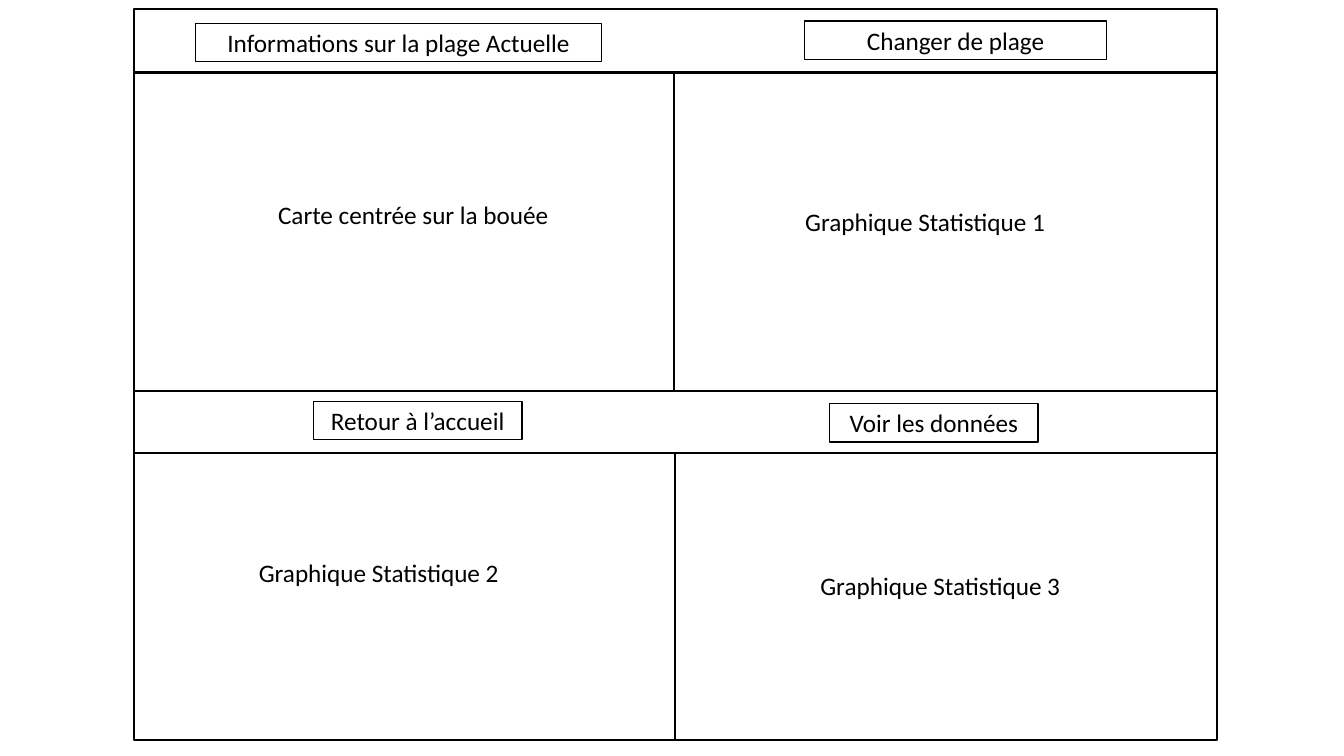
from lxml import etree
from pptx import Presentation
from pptx.dml.color import RGBColor
from pptx.enum.shapes import MSO_CONNECTOR, MSO_SHAPE
from pptx.enum.text import MSO_ANCHOR, MSO_AUTO_SIZE, PP_ALIGN
from pptx.oxml.ns import qn
from pptx.util import Pt

RECT = MSO_SHAPE.RECTANGLE
BUTTON = MSO_SHAPE.ACTION_BUTTON_CUSTOM
STRAIGHT = MSO_CONNECTOR.STRAIGHT
CENTER = PP_ALIGN.CENTER
MIDDLE = MSO_ANCHOR.MIDDLE
GROW = MSO_AUTO_SIZE.SHAPE_TO_FIT_TEXT
BLACK = "000000"

LEFT, TOP, WIDTH, HEIGHT = 95.8, 6.5, 773.2, 522
RIGHT, BOTTOM = LEFT + WIDTH, TOP + HEIGHT
MID = LEFT + WIDTH / 2
HEAD, BAR_TOP, BAR_END = 51.8, 279.2, 323.3


def paint(color, hue):
    """Set a fill, line or font colour from a hex string."""
    color.rgb = RGBColor.from_string(hue)


def write(shape, text):
    para = shape.text_frame.paragraphs[0]
    para.text = text
    para.font.name = "Calibri"
    para.font.size = Pt(18)
    paint(para.font.color, BLACK)
    return para


deck = Presentation()
deck.slide_width, deck.slide_height = Pt(960), Pt(540)
shapes = deck.slides.add_slide(deck.slide_layouts[6]).shapes

# Page frame
frame = shapes.add_shape(RECT, Pt(LEFT), Pt(TOP), Pt(WIDTH), Pt(HEIGHT))
frame.shadow.inherit = False
frame.fill.background()
frame.line.width = Pt(1.5)
paint(frame.line.color, BLACK)

# Dividers; the last one stands on the middle of the frame's bottom side
dividers = [
    (LEFT, HEAD, RIGHT, HEAD),
    (LEFT, BAR_TOP, RIGHT, BAR_TOP),
    (LEFT, BAR_END, RIGHT, BAR_END),
    (MID - 0.7, HEAD, MID - 0.7, BAR_TOP),
    (MID, BOTTOM, MID, BAR_END),
]
for ends in dividers:
    rule = shapes.add_connector(STRAIGHT, *map(Pt, ends))
    rule.line.width = Pt(1.5)
    paint(rule.line.color, BLACK)
    etree.SubElement(rule._element.spPr, qn("a:effectLst"))
rule.begin_connect(frame, 2)

# Panel labels
labels = [
    ("Carte centrée sur la bouée", 191.5, 139),
    ("Graphique Statistique 1", 568.1, 143.5),
    ("Graphique Statistique 2", 177.8, 394.6),
    ("Graphique Statistique 3", 578.9, 403.9),
]
for text, left, top in labels:
    label = shapes.add_textbox(Pt(left), Pt(top), Pt(214.6), Pt(29))
    label.text_frame.word_wrap = True
    label.text_frame.auto_size = GROW
    write(label, text)

# Buttons
buttons = [
    ("Informations sur la plage Actuelle", 139.7, 16.6, 290),
    ("Changer de plage", 574.6, 14.9, 216),
    ("Retour à l’accueil", 223.9, 286.6, 149),
    ("Voir les données", 592.6, 288.2, 149),
]
for text, left, top, width in buttons:
    button = shapes.add_shape(BUTTON, Pt(left), Pt(top), Pt(width), Pt(27.4))
    button.shadow.inherit = False
    button.fill.background()
    button.line.width = Pt(1)
    paint(button.line.color, BLACK)
    button.text_frame.word_wrap = True
    button.text_frame.vertical_anchor = MIDDLE
    write(button, text).alignment = CENTER

deck.save("out.pptx")
